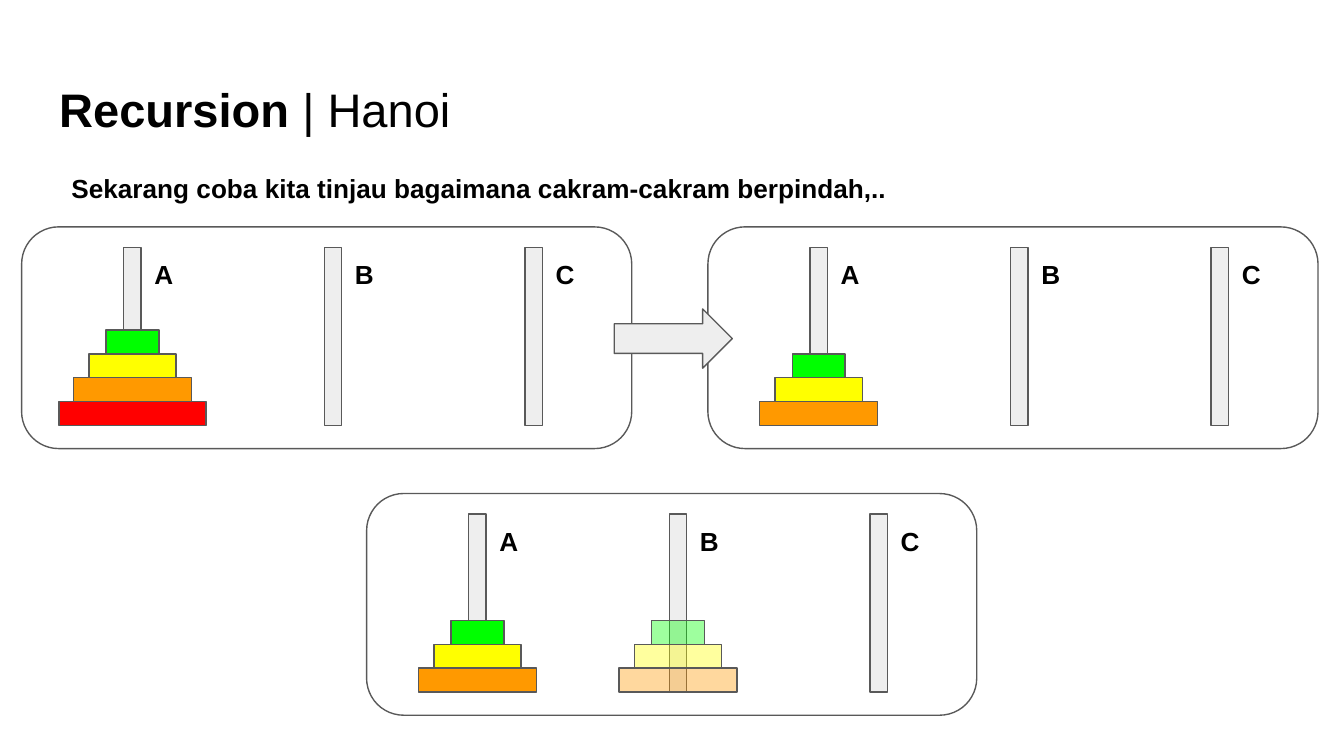
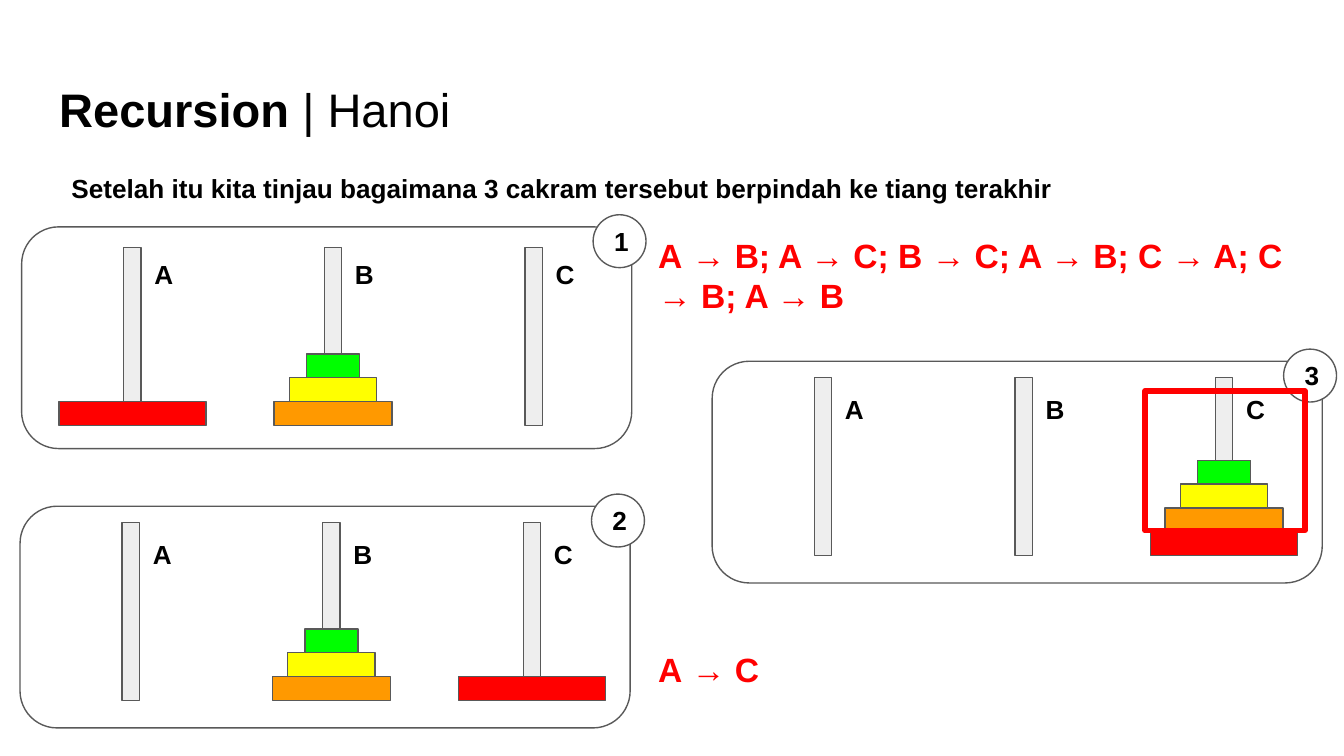
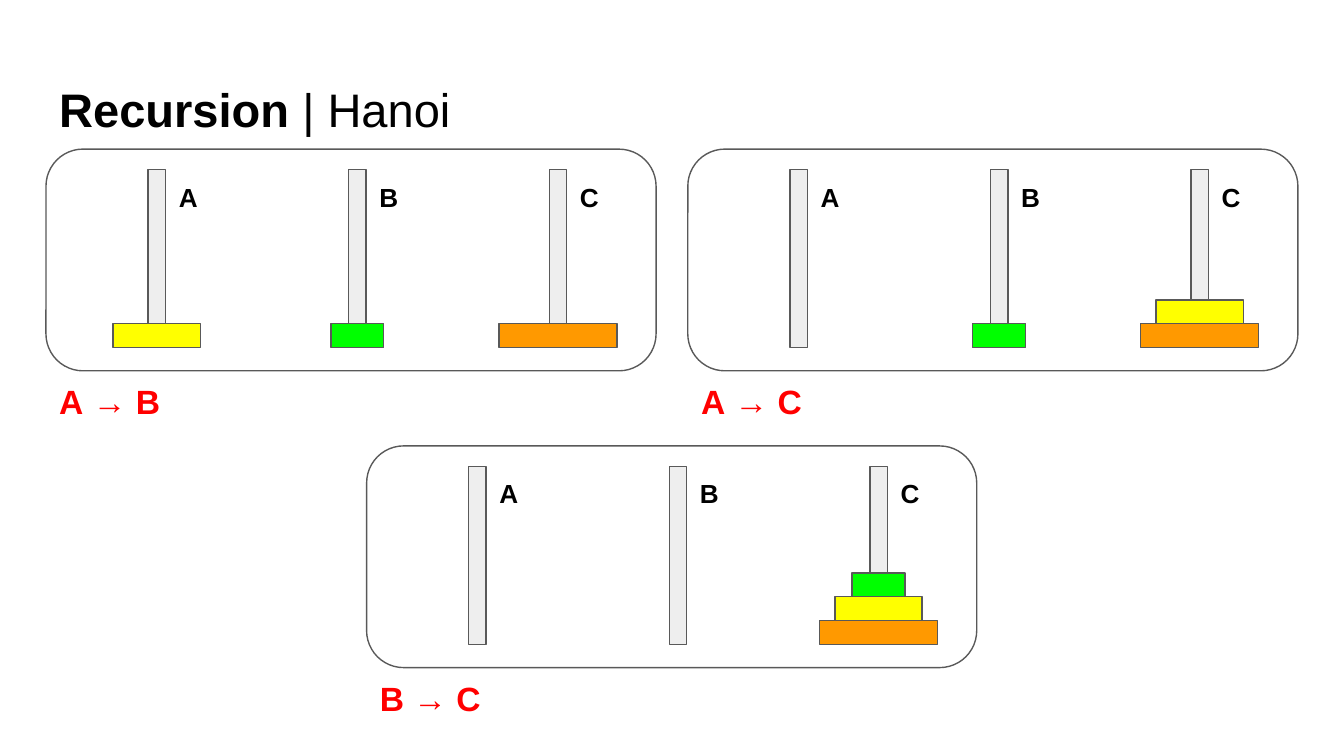
from lxml import etree
from pptx import Presentation
from pptx.dml.color import RGBColor
from pptx.enum import shapes, text
from pptx.oxml import ns
from pptx.util import Cm, Pt

BLACK = RGBColor(0x00, 0x00, 0x00)
WHITE = RGBColor(0xFF, 0xFF, 0xFF)
RED = RGBColor(0xFF, 0x00, 0x00)
ORANGE = RGBColor(0xFF, 0x99, 0x00)
YELLOW = RGBColor(0xFF, 0xFF, 0x00)
GREEN = RGBColor(0x00, 0xFF, 0x00)
LIGHT_GREY = RGBColor(0xEE, 0xEE, 0xEE)
DARK_GREY = RGBColor(0x59, 0x59, 0x59)

FONT = "Arial"
INSET = 0.25
PANEL_W, PANEL_H = 11.53, 4.19
ROD_W, ROD_H = 0.33, 3.36
ROD_INDENT, ROD_PITCH = 1.93, 3.79
LABEL_DROP = 0.35
LABEL_W, LABEL_H = 1.0, 1.11
DISC_H = 0.45
DISC_WIDTHS = {RED: 2.78, ORANGE: 2.23, YELLOW: 1.65, GREEN: 1.0}
THREE_DISCS = (ORANGE, YELLOW, GREEN)
FOUR_DISCS = (RED, *THREE_DISCS)
BADGE_SIZE = 1.0

SHAPE = shapes.MSO_SHAPE
ANCHOR = text.MSO_ANCHOR
ALIGN = text.PP_ALIGN


def write(shape, content, *, size=14, color=BLACK, light="",
          align=ALIGN.LEFT, anchor=ANCHOR.TOP):
    """Write bold text; the first occurrence of `light` is set in regular weight."""
    frame = shape.text_frame
    frame.word_wrap = True
    frame.vertical_anchor = anchor
    frame.margin_left = frame.margin_right = Cm(INSET)
    frame.margin_top = frame.margin_bottom = Cm(INSET)
    paragraph = frame.paragraphs[0]
    paragraph.alignment = align
    parts = content.partition(light) if light else (content,)
    for part in filter(None, parts):
        run = paragraph.add_run()
        run.text = part
        run.font.name = FONT
        run.font.size = Pt(size)
        run.font.bold = part != light
        run.font.color.rgb = color


def add_text(slide, content, left, top, width, height, **style):
    box = slide.shapes.add_textbox(Cm(left), Cm(top), Cm(width), Cm(height))
    write(box, content, **style)


def add_outlined(slide, kind, left, top, width, height, *, fill=None,
                 line=DARK_GREY, weight=0.75, opacity=100):
    shape = slide.shapes.add_shape(kind, Cm(left), Cm(top), Cm(width), Cm(height))
    shape.shadow.inherit = False
    shape.line.color.rgb = line
    shape.line.width = Pt(weight)
    if fill is None:
        shape.fill.background()
        return shape
    shape.fill.solid()
    shape.fill.fore_color.rgb = fill
    if opacity < 100:
        color = shape._element.spPr.find(ns.qn("a:solidFill"))[0]
        etree.SubElement(color, ns.qn("a:alpha"), val=str(opacity * 1000))
    return shape


def add_stack(slide, center, bottom, discs, opacity=100):
    """Pile the discs, listed from the lowest up, around a rod's centre."""
    for level, color in enumerate(discs, start=1):
        width = DISC_WIDTHS[color]
        add_outlined(slide, SHAPE.RECTANGLE, center - width / 2,
                     bottom - level * DISC_H, width, DISC_H,
                     fill=color, opacity=opacity)


def add_hanoi(slide, left, top, stacks, *, rod_drop=0.39, badge="", faded=""):
    """Draw a panel with rods A, B and C; `stacks` maps a rod to its discs."""
    panel = add_outlined(slide, SHAPE.ROUNDED_RECTANGLE, left, top, PANEL_W, PANEL_H)
    panel.adjustments[0] = 0.167
    for index, rod in enumerate("ABC"):
        rod_left = left + ROD_INDENT + index * ROD_PITCH
        rod_top = top + rod_drop
        add_outlined(slide, SHAPE.RECTANGLE, rod_left, rod_top, ROD_W, ROD_H,
                     fill=LIGHT_GREY)
        add_stack(slide, rod_left + ROD_W / 2, rod_top + ROD_H,
                  stacks.get(rod, ()), 38 if rod == faded else 100)
        add_text(slide, rod, rod_left + ROD_W, top + LABEL_DROP, LABEL_W, LABEL_H)
    if badge:
        circle = add_outlined(slide, SHAPE.OVAL, left + 10.8, top - 0.23,
                              BADGE_SIZE, BADGE_SIZE, fill=WHITE)
        write(circle, badge, align=ALIGN.CENTER, anchor=ANCHOR.MIDDLE)


def add_moves(slide, moves, left, top, width=3.38, height=1.27):
    add_text(slide, moves, left, top, width, height, size=18, color=RED, light=" → ")


def add_titled_slide(deck, subtitle=""):
    slide = deck.slides.add_slide(deck.slide_layouts[6])
    add_text(slide, "Recursion | Hanoi", 0.87, 1.24, 23.67, 1.6,
             size=25.2, light="| Hanoi", anchor=ANCHOR.BOTTOM)
    if subtitle:
        add_text(slide, subtitle, 1.1, 3.0, 21.54, 1.11)
    return slide


def build_first_moves(deck):
    slide = add_titled_slide(
        deck, "Sekarang coba kita tinjau bagaimana cakram-cakram berpindah,..")
    add_hanoi(slide, 0.41, 4.29, {"A": FOUR_DISCS})
    add_hanoi(slide, 13.38, 4.29, {"A": THREE_DISCS})
    add_outlined(slide, SHAPE.RIGHT_ARROW, 11.61, 5.84, 2.23, 1.12, fill=LIGHT_GREY)
    add_hanoi(slide, 6.93, 9.33, {"A": THREE_DISCS, "B": THREE_DISCS}, faded="B")


def build_last_rod(deck):
    slide = add_titled_slide(
        deck, "Setelah itu kita tinjau bagaimana 3 cakram tersebut berpindah ke tiang terakhir")
    add_hanoi(slide, 0.41, 4.29, {"A": (RED,), "B": THREE_DISCS}, badge="1")
    add_hanoi(slide, 0.38, 9.57, {"B": THREE_DISCS, "C": (RED,)},
              rod_drop=0.31, badge="2")
    add_hanoi(slide, 13.46, 6.83, {"C": FOUR_DISCS}, rod_drop=0.31, badge="3")
    add_outlined(slide, SHAPE.RECTANGLE, 21.64, 7.39, 3.02, 2.64, line=RED, weight=3)
    add_moves(slide, "A → B; A → C; B → C; A → B; C → A; C → B; A → B",
              12.19, 4.19, 12.34, 2.06)
    add_moves(slide, "A → C", 12.19, 12.01)


def build_three_steps(deck):
    slide = add_titled_slide(deck)
    steps = (
        (0.87, 2.82, {"A": (YELLOW,), "B": (GREEN,), "C": (ORANGE,)}, "A → B"),
        (13.0, 2.82, {"B": (GREEN,), "C": (ORANGE, YELLOW)}, "A → C"),
        (6.93, 8.43, {"C": THREE_DISCS}, "B → C"),
    )
    for left, top, stacks, move in steps:
        add_hanoi(slide, left, top, stacks)
        add_moves(slide, move, left, top + 4.13)


def main():
    deck = Presentation()
    deck.slide_width, deck.slide_height = Cm(25.4), Cm(14.29)
    build_first_moves(deck)
    build_last_rod(deck)
    build_three_steps(deck)
    deck.save("out.pptx")


if __name__ == "__main__":
    main()
